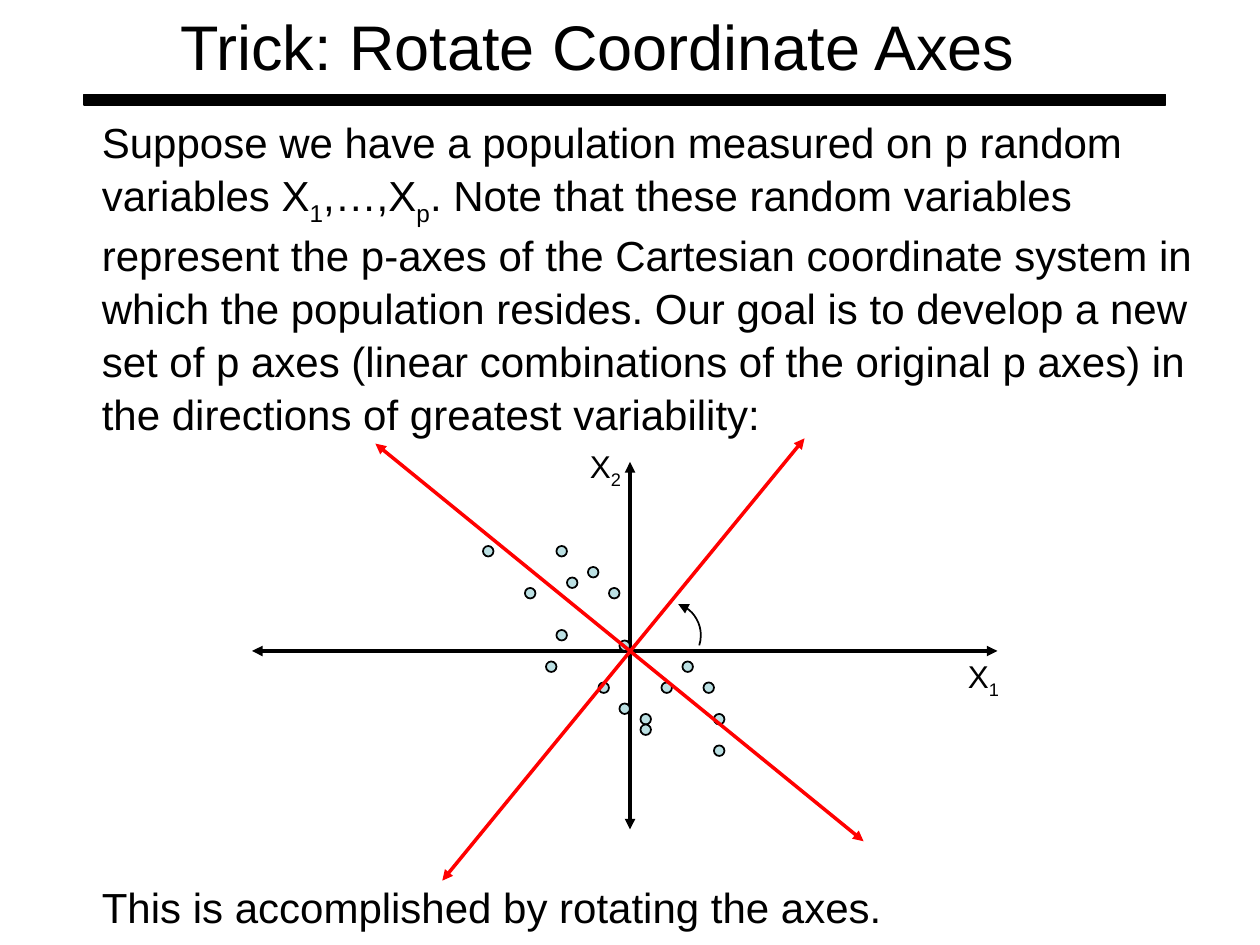
import collections
import dataclasses

import pptx
import pptx.dml.color
import pptx.enum.shapes
import pptx.enum.text
import pptx.oxml
import pptx.oxml.ns
import pptx.util

PX = 9525
Box = collections.namedtuple("Box", "left top width height")
SHAPES = pptx.enum.shapes.MSO_SHAPE


@dataclasses.dataclass(frozen=True)
class Theme:
    font: str = "Arial"
    ink: str = "000000"
    rotated: str = "FF0000"
    point: str = "BBE0E3"
    title_size: int = 36
    body_size: int = 24
    label_size: int = 18
    axis_width: int = 2
    thin_width: int = 1
    body_spacing: float = 1.05


THEME = Theme()

POPULATION = [
    (-14, -10), (-10, -6), (-7, -2), (-8, 1), (-6, -7), (-4, -8),
    (-2, -6), (-1, -1), (-3, 3), (3, 3), (1, 6), (-1, 5),
    (1, 7), (5, 1), (7, 3), (8, 6), (8, 9), (-7, -10),
]


def px(*lengths):
    return [length * PX for length in lengths]


def rgb(color):
    return pptx.dml.color.RGBColor.from_string(color)


def add_text(slide, box, runs, size, indent=0, spacing=1.0, wrap=True):
    frame = slide.shapes.add_textbox(*px(*box)).text_frame
    frame.word_wrap = wrap
    frame.margin_left = pptx.util.Inches(0.1) + indent * PX
    paragraph = frame.paragraphs[0]
    paragraph.line_spacing = spacing
    for words, subscript in runs:
        run = paragraph.add_run()
        run.text = words
        run.font.name = THEME.font
        run.font.size = pptx.util.Pt(size)
        run.font.color.rgb = rgb(THEME.ink)
        if subscript:
            run.font._element.set("baseline", "-25000")


def add_preset(slide, preset, box, fill, width):
    shape = slide.shapes.add_shape(preset, *px(*box))
    shape.shadow.inherit = False
    if fill:
        shape.fill.solid()
        shape.fill.fore_color.rgb = rgb(fill)
    else:
        shape.fill.background()
    shape.line.color.rgb = rgb(THEME.ink)
    shape.line.width = pptx.util.Pt(width)
    return shape


def add_arrowheads(stroke, *ends):
    outline = stroke._element.spPr.get_or_add_ln()
    for end in ends:
        head = pptx.oxml.parse_xml(
            f'<a:{end} {pptx.oxml.ns.nsdecls("a")} type="triangle"/>')
        outline.append(head)


def add_axis(slide, start, finish, color):
    axis = slide.shapes.add_connector(
        pptx.enum.shapes.MSO_CONNECTOR.STRAIGHT, *px(*start, *finish))
    axis.line.color.rgb = rgb(color)
    axis.line.width = pptx.util.Pt(THEME.axis_width)
    add_arrowheads(axis, "headEnd", "tailEnd")
    axis._element.spPr.append(pptx.oxml.parse_xml(
        f'<a:effectLst {pptx.oxml.ns.nsdecls("a")}/>'))


def add_heading(slide, box):
    title = Box(box.left + 64, box.top, 660, 67)
    add_text(slide, title, [("Trick: Rotate Coordinate Axes", False)],
             THEME.title_size, wrap=False)
    rule = Box(box.left, box.top + 71, box.width, 8)
    add_preset(slide, SHAPES.RECTANGLE, rule, THEME.ink, 0.75)


def add_passage(slide, box, runs):
    add_text(slide, box, runs, THEME.body_size, indent=36,
             spacing=THEME.body_spacing)


def add_rotation_diagram(slide, box):
    origin_x, origin_y = box.left + 288, box.top + 160

    def at(x, y):
        return origin_x + x, origin_y + y

    add_axis(slide, at(0, 136), at(0, -144), THEME.ink)
    add_axis(slide, at(-288, 0), at(280, 0), THEME.ink)
    for subscript, corner in (("1", at(248, 0)), ("2", at(-40, -160))):
        add_text(slide, Box(*corner, 56, 42),
                 [("X", False), (subscript, True)], THEME.label_size)

    grid = 8
    for column, row in POPULATION:
        dot = Box(*at(column * grid, row * grid), grid, grid)
        add_preset(slide, SHAPES.OVAL, dot, THEME.point, THEME.thin_width)

    radius = 25
    sweep = Box(*at(29 - radius, -12 - radius), 2 * radius, 2 * radius)
    turn = add_preset(slide, SHAPES.ARC, sweep, None, THEME.thin_width)
    for index, degrees in enumerate((288, 18)):
        turn.adjustments[index] = degrees * 0.6
    add_arrowheads(turn, "headEnd")

    add_axis(slide, at(-143, 175), at(133, -162), THEME.rotated)
    add_axis(slide, at(-194, -158), at(178, 145), THEME.rotated)


def main():
    deck = pptx.Presentation()
    deck.slide_width, deck.slide_height = px(960, 720)
    slide = deck.slides.add_slide(deck.slide_layouts[6])
    add_passage(slide, Box(32, 665, 904, 46),
                [("This is accomplished by rotating the axes.", False)])
    add_passage(slide, Box(32, 82, 904, 46), [
        ("Suppose we have a population measured on p random variables X",
         False),
        ("1", True),
        (",…,X", False),
        ("p", True),
        (". Note that these random variables represent the p-axes of the "
         "Cartesian coordinate system in which the population resides. Our "
         "goal is to develop a new set of p axes (linear combinations of the "
         "original p axes) in the directions of greatest variability:", False),
    ])
    add_rotation_diagram(slide, Box(192, 336, 576, 336))
    add_heading(slide, Box(64, 1, 824, 79))
    deck.save("out.pptx")


if __name__ == "__main__":
    main()
